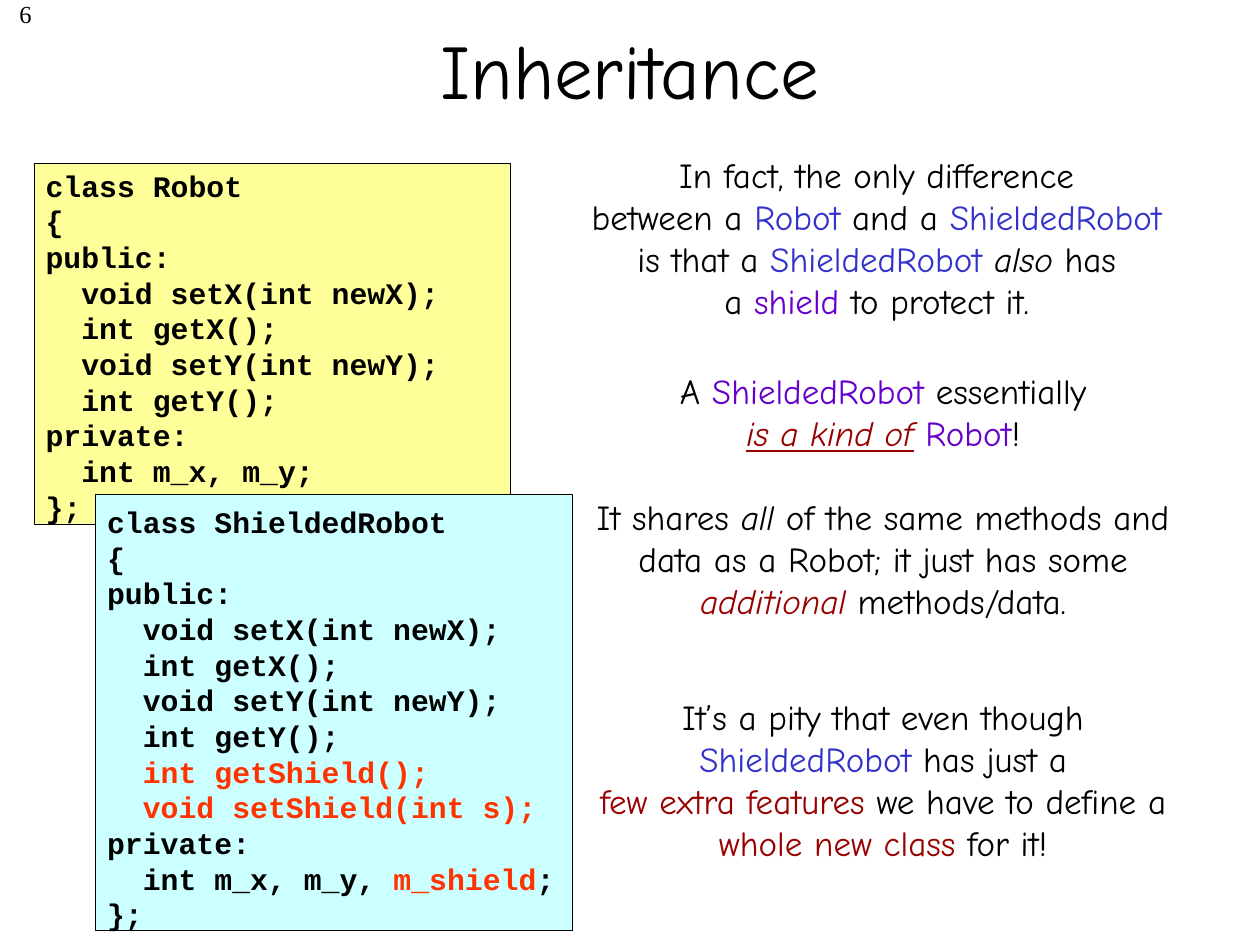
import pptx
import pptx.dml.color
import pptx.enum.shapes
import pptx.enum.text
import pptx.util

Cm = pptx.util.Cm
Pt = pptx.util.Pt
ALIGN = pptx.enum.text.PP_ALIGN

COLORS = {
    "black": "000000",
    "yellow": "FFFF99",
    "cyan": "CCFFFF",
    "blue": "3333CC",
    "purple": "6600CC",
    "dark red": "990000",
    "orange": "FF3300",
}

CODE = {"name": "Courier New", "size": Pt(17), "bold": True}
PROSE = {"name": "Comic Neue", "size": Pt(20)}
TITLE = {"name": "Comic Neue", "size": Pt(44)}
NUMBER = {"name": "Times New Roman", "size": Pt(14)}
ITALIC = {"italic": True}
UNDERLINED = {"italic": True, "underline": True}
BREAK = ("\n",)

ROBOT_MEMBERS = [
    "{",
    "public:",
    "  void setX(int newX);",
    "  int getX();",
    "  void setY(int newY);",
    "  int getY();",
]
ROBOT = [[(line,)] for line in [
    "class Robot", *ROBOT_MEMBERS, "private:", "  int m_x, m_y;", "};"]]
SHIELDED_ROBOT = [
    *[[(line,)] for line in ["class ShieldedRobot", *ROBOT_MEMBERS]],
    [("  int getShield();", "orange")],
    [("  void setShield(int s);", "orange")],
    [("private:",)],
    [("  int m_x, m_y, ",), ("m_shield", "orange"), (";",)],
    [("};",)],
]

DIFFERENCE = [[
    ("In fact, the only difference",), BREAK,
    ("between a ",), ("Robot", "blue"), (" and a ",),
    ("ShieldedRobot", "blue"), BREAK,
    ("is that a ",), ("ShieldedRobot ", "blue"),
    ("also ", "black", ITALIC), ("has",), BREAK,
    ("a ",), ("shield", "purple"), (" to protect it.",),
]]
KIND_OF = [
    [
        ("A ",), ("ShieldedRobot", "purple"), (" essentially",), BREAK,
        ("is a kind of", "dark red", UNDERLINED), (" ",),
        ("Robot", "purple"), ("!",),
    ],
    [
        ("It shares ",), ("all ", "black", ITALIC),
        ("of the same methods and data as a Robot; it just has some ",),
        ("additional ", "dark red", ITALIC), ("methods/data.",),
    ],
]
PITY = [[
    ("It’s a pity that even though ",), ("ShieldedRobot", "blue"),
    (" has just a",), BREAK,
    ("few extra features", "dark red"), (" we have to define a ",),
    ("whole new class", "dark red"), (" for it!",),
]]


def rgb(color):
    return pptx.dml.color.RGBColor.from_string(COLORS[color])


def add_run(paragraph, base, text, color="black", extra=None):
    run = paragraph.add_run()
    run.text = text
    for attribute, value in {**base, **(extra or {})}.items():
        setattr(run.font, attribute, value)
    run.font.color.rgb = rgb(color)


def add_text(slide, place, paragraphs, base, align, pitch=None, gap=0):
    """Add a text box; pitch is the line spacing, gap the space between paragraphs."""
    frame = slide.shapes.add_textbox(*map(Cm, place)).text_frame
    frame.word_wrap = True
    for index, pieces in enumerate(paragraphs):
        paragraph = frame.add_paragraph() if index else frame.paragraphs[0]
        paragraph.alignment = align
        if pitch:
            paragraph.line_spacing = Pt(pitch)
        if index and gap:
            paragraph.space_before = Pt(gap)
        for piece in pieces:
            if piece == BREAK:
                paragraph.add_line_break()
            else:
                add_run(paragraph, base, *piece)


def add_code_card(slide, left, top, height, color, lines, text_top):
    card = slide.shapes.add_shape(
        pptx.enum.shapes.MSO_SHAPE.RECTANGLE,
        Cm(left), Cm(top), Cm(9.6), Cm(height))
    card.shadow.inherit = False
    card.fill.solid()
    card.fill.fore_color.rgb = rgb(color)
    card.line.color.rgb = rgb("black")
    card.line.width = Pt(0.25)
    add_text(slide, (left - 0.02, text_top, 11.23, height + 0.18),
             lines, CODE, ALIGN.LEFT, pitch=20.4)


def set_title(slide, text):
    title = slide.shapes.title
    title.left, title.top = Cm(1.9), Cm(-0.2)
    title.width, title.height = Cm(21.59), Cm(3.18)
    title.text_frame.vertical_anchor = pptx.enum.text.MSO_ANCHOR.MIDDLE
    paragraph = title.text_frame.paragraphs[0]
    paragraph.alignment = ALIGN.CENTER
    add_run(paragraph, TITLE, text)


def main():
    deck = pptx.Presentation()
    deck.slide_width, deck.slide_height = Cm(25.4), Cm(19.05)
    slide = deck.slides.add_slide(deck.slide_layouts[5])

    set_title(slide, "Inheritance")
    add_text(slide, (0, -0.15, 0.89, 1.27), [[("6",)]], NUMBER, ALIGN.RIGHT)

    add_code_card(slide, 0.69, 3.3, 7.26, "yellow", ROBOT, 3.25)
    add_code_card(slide, 1.93, 9.96, 8.79, "cyan", SHIELDED_ROBOT, 10.03)

    for place, paragraphs in [
        ((10.59, 2.97, 14.17, 3.68), DIFFERENCE),
        ((11.58, 7.32, 12.45, 5.38), KIND_OF),
        ((11.76, 13.89, 12.09, 3.68), PITY),
    ]:
        add_text(slide, place, paragraphs, PROSE, ALIGN.CENTER, pitch=24, gap=24)

    deck.save("out.pptx")


if __name__ == "__main__":
    main()
